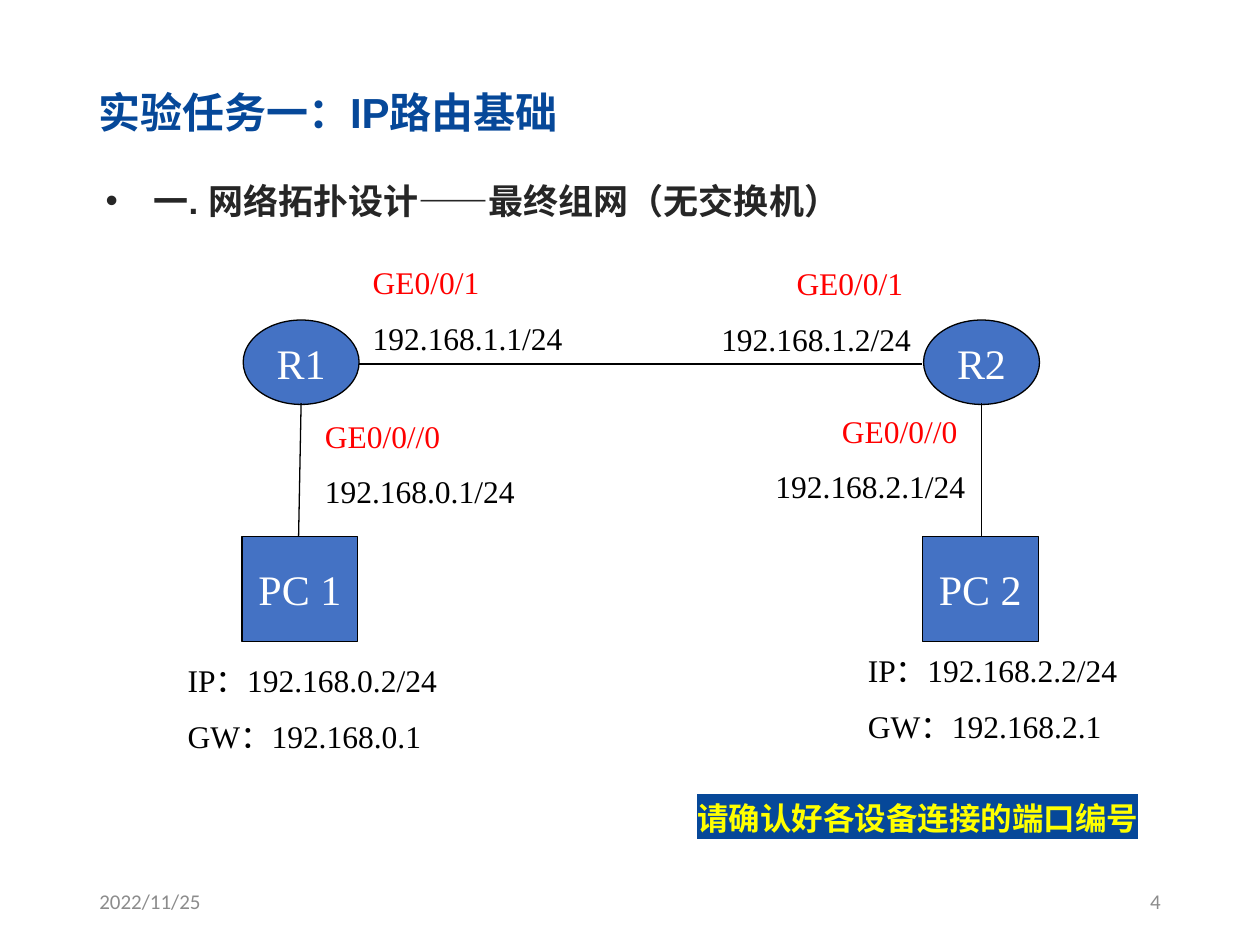
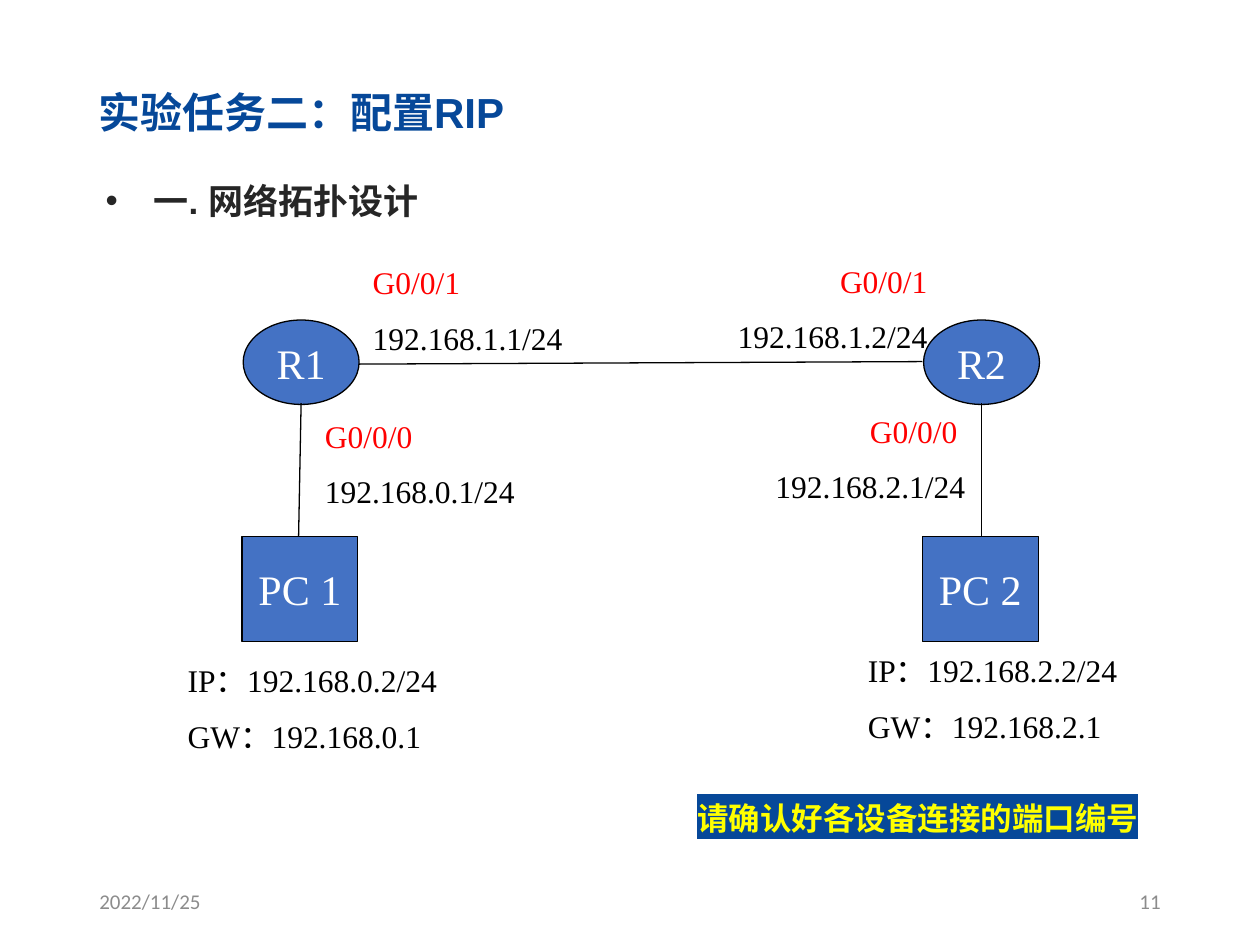
from dataclasses import dataclass

from lxml import etree
from pptx import Presentation
from pptx import util as u
from pptx.dml.color import RGBColor
from pptx.enum import shapes, text
from pptx.oxml import ns


@dataclass(frozen=True)
class Theme:
    navy: str = "064899"
    blue: str = "4472C4"
    red: str = "FF0000"
    yellow: str = "FFFF00"
    black: str = "000000"
    white: str = "FFFFFF"
    dark: str = "262626"
    grey: str = "8C8C8C"
    head_font: str = "Arial"
    body_font: str = "Calibri"
    net_font: str = "Times New Roman"
    title: int = 24
    heading: int = 20
    label: int = 18
    footer: int = 12
    line: float = 0.75


T = Theme()
COLS, ROWS = 100, 75
WIDTH, HEIGHT = u.Inches(10), u.Inches(7.5)
SIDE_STEP = 54
LEFT, CENTER, RIGHT = text.PP_ALIGN.LEFT, text.PP_ALIGN.CENTER, text.PP_ALIGN.RIGHT
TOP, MIDDLE = text.MSO_ANCHOR.TOP, text.MSO_ANCHOR.MIDDLE


def x(col):
    return round(WIDTH * col / COLS)


def y(row):
    return round(HEIGHT * row / ROWS)


def place(box):
    col, row, cols, rows = box
    return x(col), y(row), x(cols), y(rows)


def add_bullet(p, indent):
    pPr = p._p.get_or_add_pPr()
    pPr.set("marL", str(indent))
    pPr.set("indent", str(-indent))
    font = etree.SubElement(pPr, ns.qn("a:buFont"))
    font.set("typeface", T.head_font)
    etree.SubElement(pPr, ns.qn("a:buChar")).set("char", "•")


def add_highlight(r, color):
    fill = r._r.get_or_add_rPr().find(ns.qn("a:solidFill"))
    mark = etree.Element(ns.qn("a:highlight"))
    etree.SubElement(mark, ns.qn("a:srgbClr")).set("val", color)
    fill.addnext(mark)


def write(tf, lines, size=T.label, font=T.net_font, colors=(T.black,), bold=False,
          align=LEFT, anchor=TOP, wrap=True, spacing=None, gap=10,
          bullet=False, highlight=None):
    tf.word_wrap = wrap
    tf.vertical_anchor = anchor
    for i, line in enumerate(lines):
        p = tf.add_paragraph() if i else tf.paragraphs[0]
        p.alignment = align
        if spacing:
            p.line_spacing = spacing
        if i:
            p.space_before = u.Pt(gap)
        if bullet:
            add_bullet(p, x(3.8))
        r = p.add_run()
        r.text = line
        r.font.size, r.font.name, r.font.bold = u.Pt(size), font, bold
        r.font.color.rgb = RGBColor.from_string(colors[i % len(colors)])
        if highlight:
            add_highlight(r, highlight)


def add_text(s, box, *lines, **fmt):
    write(s.shapes.add_textbox(*place(box)).text_frame, lines, **fmt)


def add_device(s, kind, box, name):
    sp = s.shapes.add_shape(kind, *place(box))
    sp.shadow.inherit = False
    sp.fill.solid()
    sp.fill.fore_color.rgb = RGBColor.from_string(T.blue)
    sp.line.color.rgb = RGBColor.from_string(T.black)
    sp.line.width = u.Pt(T.line)
    write(sp.text_frame, [name], size=T.title, colors=[T.white],
          align=CENTER, anchor=MIDDLE, wrap=False)


def add_link(s, start, end):
    link = s.shapes.add_connector(shapes.MSO_CONNECTOR.STRAIGHT,
                                  x(start[0]), y(start[1]), x(end[0]), y(end[1]))
    link.line.color.rgb = RGBColor.from_string(T.black)
    link.line.width = u.Pt(T.line)
    etree.SubElement(link._element.spPr, ns.qn("a:effectLst"))


def add_port(s, box, port, address, align=LEFT):
    add_text(s, box, port, address, colors=[T.red, T.black], align=align)


def add_host(s, box, address, gateway):
    add_text(s, box, f"IP：{address}", f"GW：{gateway}")


def add_frame(prs, title, heading, number):
    s = prs.slides.add_slide(prs.slide_layouts[6])
    footer = dict(size=T.footer, font=T.body_font, colors=[T.grey], anchor=MIDDLE)
    add_text(s, (6.9, 69.5, 22.5, 4), "2022/11/25", **footer)
    add_text(s, (70.6, 69.5, 22.5, 4), str(number), align=RIGHT, **footer)
    add_text(s, (6.8, 6.4, 85.2, 5), title, size=T.title, font=T.head_font,
             colors=[T.navy], bold=True, anchor=MIDDLE)
    add_text(s, (7.4, 12.1, 85.2, 6.1), heading, size=T.heading, font=T.head_font,
             colors=[T.dark], bold=True, spacing=1.5, bullet=True)
    return s


def add_topology(s, wan_ports, lan_ports, r2_port_at, wan_end_row):
    for side in range(2):
        shift = side * SIDE_STEP
        add_device(s, shapes.MSO_SHAPE.OVAL, (19.3 + shift, 25.4, 9.2, 6.7), f"R{side + 1}")
        add_device(s, shapes.MSO_SHAPE.RECTANGLE, (19.2 + shift, 42.6, 9.2, 8.3),
                   f"PC {side + 1}")
    add_link(s, (23.9, 32), (23.7, 42.6))
    add_link(s, (77.9, 32), (77.9, 42.5))
    add_link(s, (28.5, 28.9), (73.2, wan_end_row))
    add_port(s, (28.6, 20.4, 17.6, 8.6), wan_ports[0], "192.168.1.1/24")
    add_port(s, (*r2_port_at, 17.6, 8.6), wan_ports[1], "192.168.1.2/24", RIGHT)
    add_port(s, (24.8, 32.6, 18.2, 8.6), lan_ports[0], "192.168.0.1/24")
    add_port(s, (60.3, 32.2, 17.3, 8.6), lan_ports[1], "192.168.2.1/24", RIGHT)
    add_host(s, (13.9, 52, 22.8, 8.6), "192.168.0.2/24", "192.168.0.1")
    add_host(s, (13.9 + SIDE_STEP, 51.2, 22.8, 8.6), "192.168.2.2/24", "192.168.2.1")
    add_text(s, (54.1, 62.9, 37.5, 4), "请确认好各设备连接的端口编号", font=T.body_font,
             colors=[T.yellow], bold=True, align=CENTER, highlight=T.navy)


def main():
    prs = Presentation()
    prs.slide_width, prs.slide_height = WIDTH, HEIGHT

    s = add_frame(prs, "实验任务一：IP路由基础",
                  "一. 网络拓扑设计——最终组网（无交换机）", 4)
    add_topology(s, ("GE0/0/1", "GE0/0/1 "), ("GE0/0//0", "GE0/0//0 "),
                 r2_port_at=(55.7, 20.5), wan_end_row=28.9)

    s = add_frame(prs, "实验任务二：配置RIP", "一. 网络拓扑设计", 11)
    add_topology(s, ("G0/0/1", "G0/0/1"), ("G0/0/0", "G0/0/0 "),
                 r2_port_at=(57, 20.3), wan_end_row=28.7)

    prs.save("out.pptx")


if __name__ == "__main__":
    main()
